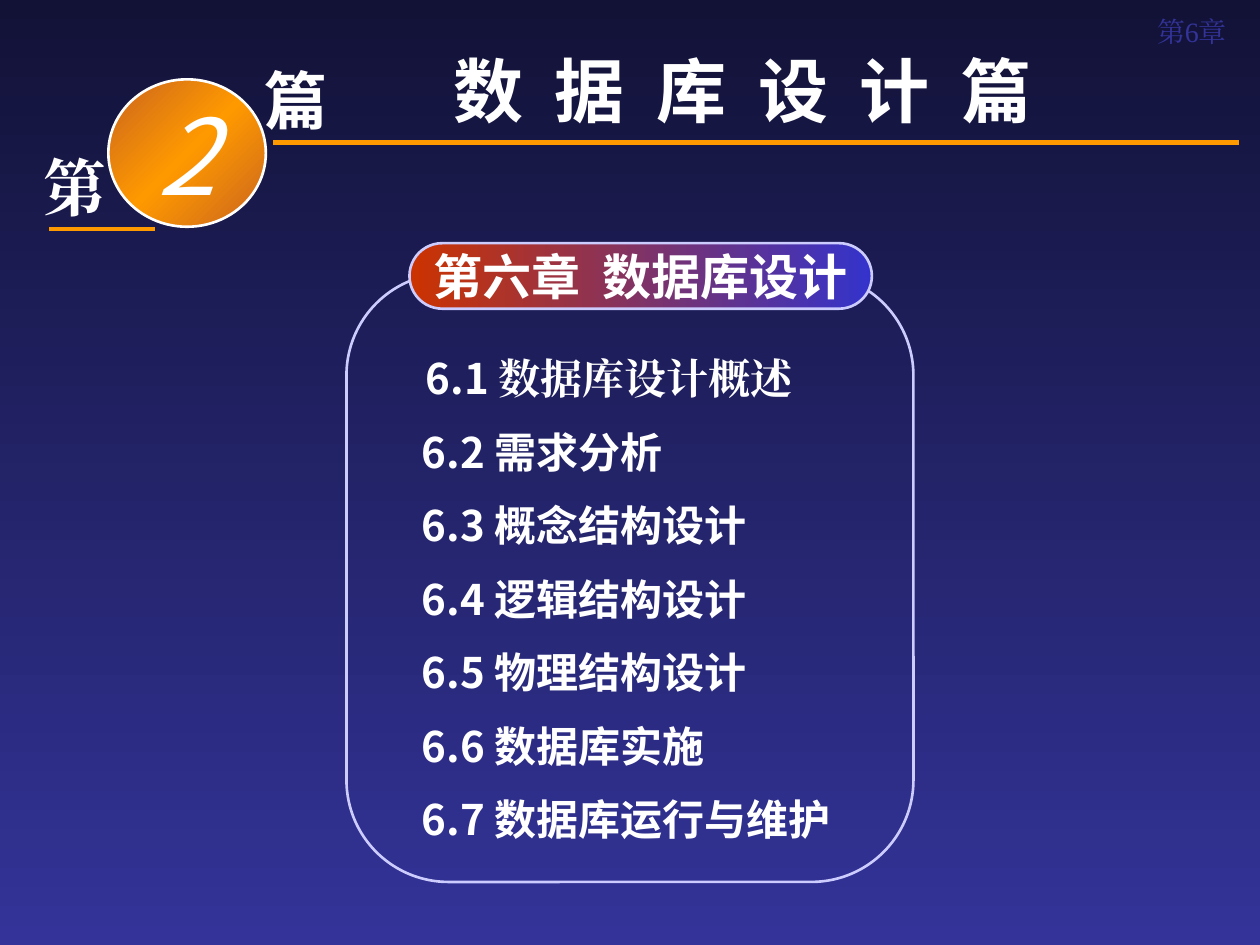
from dataclasses import dataclass

from lxml.etree import SubElement
from pptx import Presentation
from pptx.dml.color import RGBColor
from pptx.enum.shapes import MSO_CONNECTOR as CONN, MSO_SHAPE as SHAPE
from pptx.enum.text import MSO_ANCHOR as ANCHOR, MSO_AUTO_SIZE as FIT, PP_ALIGN as ALIGN
from pptx.oxml.ns import qn
from pptx.util import Inches, Pt


@dataclass(frozen=True)
class Theme:
    white: str = "FFFFFF"
    navy: str = "121237"
    indigo: str = "333399"
    blue: str = "3333CC"
    red: str = "CC3300"
    orange: str = "FF9900"
    brown: str = "C9641F"
    lilac: str = "CCCCFF"
    sans: str = "Noto Sans CJK SC"
    heading: str = "Noto Sans CJK JP"
    serif: str = "Times New Roman"
    number: int = 60
    banner: int = 40
    label: int = 36
    chapter: int = 28
    section: int = 24
    corner: int = 16


T = Theme()

# Section title, width of its box
SECTIONS = [
    ("数据库设计概述", 4.39),
    ("需求分析", 2.83),
    ("概念结构设计", 3.25),
    ("逻辑结构设计", 3.25),
    ("物理结构设计", 3.25),
    ("数据库实施", 3.58),
    ("数据库运行与维护", 4.92),
]


def set_typeface(font, props, name):
    """Use one typeface for Latin and East Asian characters."""
    font.name = name
    SubElement(props, qn("a:ea")).set("typeface", name)


def write(tf, runs, size, name, color=T.white, bold=True, italic=False, align=ALIGN.LEFT):
    """Fill the first paragraph; runs are (text, letter spacing in points)."""
    p = tf.paragraphs[0]
    p.alignment = align
    p.font.size = Pt(size)
    p.font.bold = bold
    p.font.italic = italic
    p.font.color.rgb = RGBColor.from_string(color)
    set_typeface(p.font, p._p.pPr.find(qn("a:defRPr")), name)
    for text, spacing in runs:
        r = p.add_run()
        r.text = text
        if spacing:
            r._r.get_or_add_rPr().set("spc", str(round(spacing * 100)))
    return p


def add_text(s, box, runs, size, name):
    tb = s.shapes.add_textbox(*map(Inches, box))
    tb.text_frame.word_wrap = True
    return write(tb.text_frame, runs, size, name)


def set_gradient(fill, element, colors, angle):
    """Spread the colours evenly; the angle runs clockwise."""
    fill.gradient()
    fill.gradient_angle = (360 - angle) % 360
    stops = next(element.iter(qn("a:gsLst")))
    stops.clear()
    for i, color in enumerate(colors):
        gs = SubElement(stops, qn("a:gs"), pos=str(100000 * i // (len(colors) - 1)))
        SubElement(gs, qn("a:srgbClr"), val=color)


def add_shape(s, kind, box, line, colors=None, angle=0):
    sp = s.shapes.add_shape(kind, *map(Inches, box))
    sp.shadow.inherit = False
    if colors:
        set_gradient(sp.fill, sp._element.spPr, colors, angle)
    else:
        sp.fill.background()
    sp.line.color.rgb = RGBColor.from_string(line)
    sp.line.width = Pt(1.5)
    return sp


def add_rule(s, left, right, y):
    c = s.shapes.add_connector(CONN.STRAIGHT, *map(Inches, (left, y, right, y)))
    c.line.color.rgb = RGBColor.from_string(T.orange)
    c.line.width = Pt(2.5)
    SubElement(c._element.spPr, qn("a:effectLst"))


def add_corner_title(s):
    title = s.shapes.title
    title.left, title.top, title.width, title.height = map(Inches, (9, 0.08, 0.92, 0.33))
    tf = title.text_frame
    tf.auto_size = FIT.NONE
    tf.vertical_anchor = ANCHOR.MIDDLE
    write(tf, [("第6章", 0)], T.corner, T.serif, T.indigo, bold=False, align=ALIGN.CENTER)


def add_banner(s):
    add_text(s, (3.5, 0.33, 6.5, 0.77), [("数 据 库 设 计 篇", 4.55)], T.banner, T.heading)
    add_text(s, (0.25, 1.13, 0.75, 0.7), [("第", 0)], T.label, T.serif)
    add_text(s, (2, 0.44, 1.12, 0.7), [("篇", 0)], T.label, T.sans)
    disc = add_shape(s, SHAPE.OVAL, (0.86, 0.63, 1.25, 1.17), T.white,
                     (T.brown, T.orange, T.brown), 45)
    disc.text_frame.word_wrap = False
    disc.text_frame.vertical_anchor = ANCHOR.MIDDLE
    write(disc.text_frame, [("2", 0)], T.number, T.sans, bold=False, italic=True,
          align=ALIGN.CENTER)
    add_rule(s, 2.17, 9.83, 1.13)
    add_rule(s, 0.39, 1.23, 1.82)


def add_chapter_panel(s):
    frame = add_shape(s, SHAPE.ROUNDED_RECTANGLE, (2.75, 2.17, 4.5, 4.83), T.lilac)
    frame.adjustments[0] = 0.18
    pill = add_shape(s, SHAPE.ROUNDED_RECTANGLE, (3.25, 1.93, 3.67, 0.52), T.lilac,
                     (T.red, T.blue))
    pill.adjustments[0] = 0.5
    tf = pill.text_frame
    tf.margin_left = tf.margin_right = tf.margin_top = tf.margin_bottom = 0
    tf.vertical_anchor = ANCHOR.MIDDLE
    write(tf, [("第六章", 0), (" ", 6.3), ("数据库设计", 0)], T.chapter, T.heading,
          align=ALIGN.CENTER)


def add_sections(s):
    first, last = 2.75, 6.25
    step = (last - first) / (len(SECTIONS) - 1)
    for i, (name, width) in enumerate(SECTIONS):
        left = 3.28 if i == 0 else 3.25
        p = add_text(s, (left, first + i * step, width, 0.5),
                     [(f"6.{i + 1} ", 0), (name, 0)], T.section, T.sans)
        if i == 0:
            r = p.runs[1]
            set_typeface(r.font, r._r.get_or_add_rPr(), T.serif)


def main():
    prs = Presentation()
    prs.slide_width, prs.slide_height = Inches(10), Inches(7.5)
    s = prs.slides.add_slide(prs.slide_layouts[5])
    # Background
    set_gradient(s.background.fill, s._element, (T.navy, T.indigo), 90)
    # Titles
    add_corner_title(s)
    add_banner(s)
    # Chapter contents
    add_chapter_panel(s)
    add_sections(s)
    prs.save("out.pptx")


if __name__ == "__main__":
    main()
